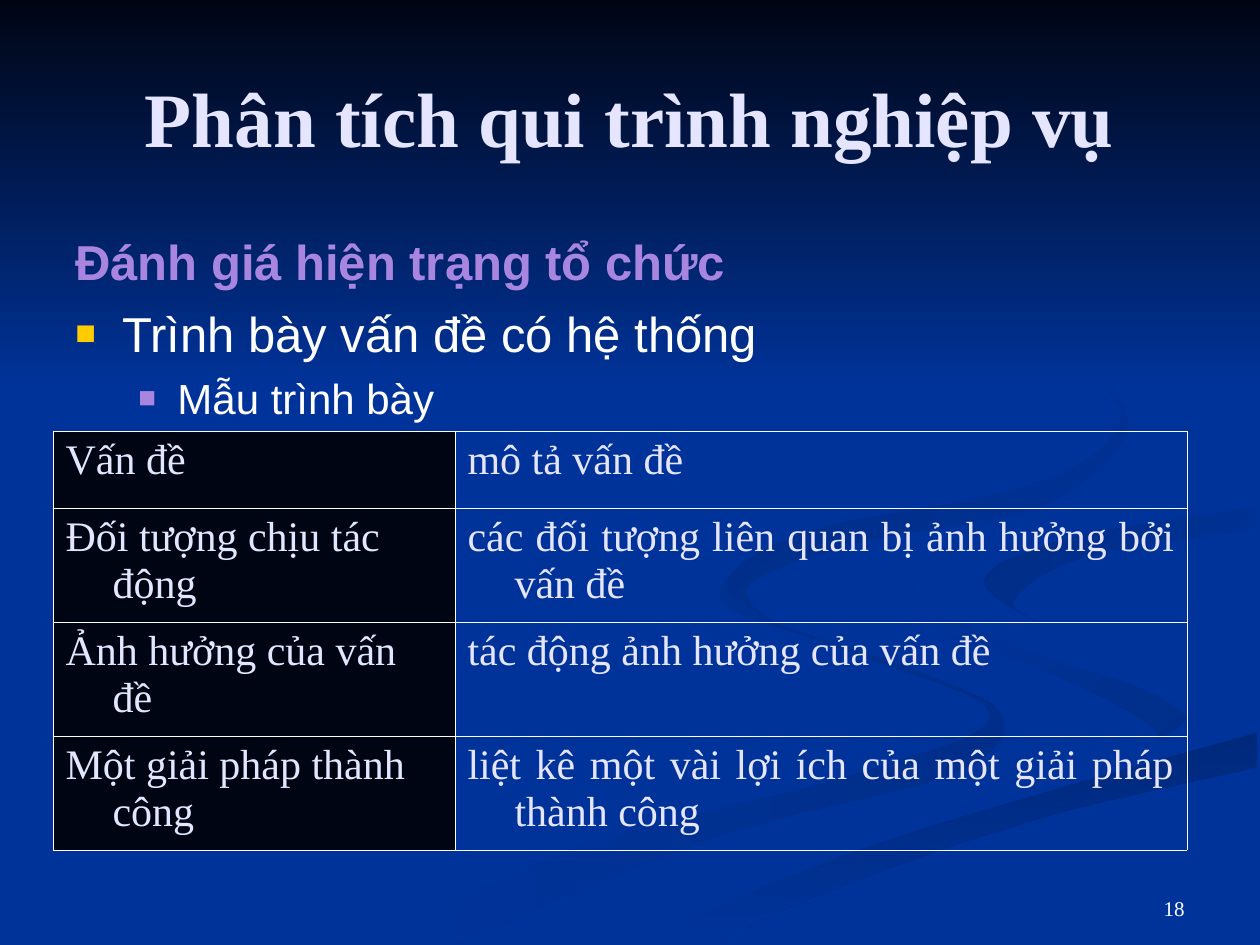
from pptx import Presentation
from pptx.dml.color import RGBColor
from pptx.enum.shapes import MSO_SHAPE
from pptx.enum.text import MSO_ANCHOR, PP_ALIGN
from pptx.oxml import parse_xml
from pptx.oxml.ns import nsdecls
from pptx.util import Pt

PX = 914400 / 126
COLORS = {"blue": "003399", "night": "000514", "pale": "E5E5FF", "violet": "A886E0",
          "gold": "FFCC00", "white": "FFFFFF", "dim": "002E8A", "deep": "00297C",
          "dusk": "002C85", "shade": "002B81"}
SERIF, SANS = "Times New Roman", "Arial"

# Text: words, font format, then paragraph format
TITLE = ("Phân tích qui trình nghiệp vụ",
         dict(name=SERIF, size=44, bold=True, color="pale"), dict(align="CENTER"))
BODY = [
    ("Đánh giá hiện trạng tổ chức",
     dict(name=SANS, size=28, bold=True, color="violet"), dict(left=47, hang=47)),
    ("Trình bày vấn đề có hệ thống",
     dict(name=SANS, size=28, color="white"),
     dict(left=47, hang=47, before=7, bullet="gold")),
    ("Mẫu trình bày",
     dict(name=SANS, size=24, color="white"),
     dict(left=102, hang=39, before=6, bullet="violet", level=1)),
]
NUMBER = ("18", dict(name=SERIF, size=12, color="white"), dict(align="RIGHT"))
ROWS = [
    ("Vấn đề", "mô tả vấn đề"),
    ("Đối tượng chịu tác động", "các đối tượng liên quan bị ảnh hưởng bởi vấn đề"),
    ("Ảnh hưởng của vấn đề", "tác động ảnh hưởng của vấn đề"),
    ("Một giải pháp thành công", "liệt kê một vài lợi ích của một giải pháp thành công"),
]
COLS, HEIGHTS = [402, 732], [77, 114, 114, 114]
CELL = dict(name=SERIF, size=24, color="pale")

# Background ribbons: start colour, end colour, clockwise angle, two curved edges
RIBBONS = [
    ("dim", "blue", 180,
     [(725, 578), (759, 617), (901, 665), (1002, 714), (953, 774), (711, 838), (455, 944)],
     [(378, 944), (577, 849), (881, 767), (990, 713), (856, 654), (732, 609), (725, 578)]),
    ("dim", "blue", 225,
     [(912, 585), (939, 617), (1071, 660), (1188, 718), (1126, 762)],
     [(1126, 762), (1157, 732), (1056, 675), (940, 630), (912, 585)]),
    ("deep", "blue", 90,
     [(634, 944), (794, 873), (1004, 804), (1257, 732)],
     [(1257, 767), (1034, 820), (818, 895), (719, 944)]),
    ("blue", None, 0,
     [(1259, 488), (1072, 518), (914, 585), (1023, 649), (1188, 718), (983, 799),
      (601, 944)],
     [(634, 944), (877, 843), (1259, 732)],
     [(1259, 678), (1068, 634), (985, 580), (1090, 534), (1259, 507)]),
    ("blue", "dusk", 225,
     [(1257, 507), (1070, 538), (984, 580), (1041, 625)],
     [(1041, 625), (1014, 600), (1082, 558), (1257, 529)]),
    ("blue", "shade", 225,
     [(960, 294), (1089, 367), (1126, 433), (1040, 507), (861, 542), (748, 586),
      (784, 630)],
     [(784, 630), (727, 582), (818, 529), (1030, 486), (1120, 422), (1066, 351),
      (960, 294)]),
]


def px(n):
    return round(n * PX)


def rgb(name):
    return RGBColor.from_string(COLORS[name])


def curve(edge, steps=6):
    """Points of a smooth line through the knots of an edge."""
    knots = [edge[0], *edge, edge[-1]]
    line = []
    for a, b, c, d in zip(knots, knots[1:], knots[2:], knots[3:]):
        for i in range(steps):
            t = i / steps
            line.append(tuple(
                q + t / 2 * (r - p + t * (2 * p - 5 * q + 4 * r - s
                                          + t * (3 * (q - r) + s - p)))
                for p, q, r, s in zip(a, b, c, d)))
    return line + [edge[-1]]


def paint(shape, start, end, angle):
    fill = shape.fill
    if end:
        fill.gradient()
        fill.gradient_angle = (360 - angle) % 360
        for stop, name in zip(fill.gradient_stops, (start, end)):
            stop.color.rgb = rgb(name)
    else:
        fill.solid()
        fill.fore_color.rgb = rgb(start)
    shape.line.fill.background()
    shape.shadow.inherit = False


def write(para, text, font, align="LEFT", left=0, hang=0, before=0, bullet=None, level=0):
    para.alignment = getattr(PP_ALIGN, align)
    para.level = level
    para.space_before = Pt(before)
    props = para._p.get_or_add_pPr()
    props.set("marL", str(px(left)))
    props.set("indent", str(-px(hang)))
    if bullet:
        for tag in (f'<a:buClr {nsdecls("a")}><a:srgbClr val="{COLORS[bullet]}"/></a:buClr>',
                    f'<a:buSzPct {nsdecls("a")} val="70000"/>',
                    f'<a:buFont {nsdecls("a")} typeface="{SANS}"/>',
                    f'<a:buChar {nsdecls("a")} char="■"/>'):
            props.append(parse_xml(tag))
    run = para.add_run()
    run.text = text
    values = {"bold": False, **font, "size": Pt(font["size"])}
    run.font.color.rgb = rgb(values.pop("color"))
    for key, value in values.items():
        setattr(run.font, key, value)


def add_text(slide, box, lines, anchor="TOP", top=6):
    frame = slide.shapes.add_textbox(*map(px, box)).text_frame
    values = dict(word_wrap=True, vertical_anchor=getattr(MSO_ANCHOR, anchor),
                  margin_top=px(top))
    for key, value in values.items():
        setattr(frame, key, value)
    for i, (text, font, form) in enumerate(lines):
        para = frame.add_paragraph() if i else frame.paragraphs[0]
        write(para, text, font, **form)


def add_grid(slide):
    table = slide.shapes.add_table(len(ROWS), len(COLS), px(53), px(431),
                                   px(sum(COLS)), px(sum(HEIGHTS))).table
    table.first_row = table.horz_banding = False
    for col, wide in zip(table.columns, COLS):
        col.width = px(wide)
    for r, (row, words) in enumerate(zip(table.rows, ROWS)):
        row.height = px(HEIGHTS[r])
        for c, text in enumerate(words):
            cell = table.cell(r, c)
            props = cell._tc.get_or_add_tcPr()
            for side in "LRTB":
                props.append(parse_xml(
                    f'<a:ln{side} {nsdecls("a")} w="5715"><a:solidFill>'
                    f'<a:srgbClr val="{COLORS["white"]}"/></a:solidFill></a:ln{side}>'))
            if c:
                cell.fill.background()
            else:
                cell.fill.solid()
                cell.fill.fore_color.rgb = rgb("night")
            write(cell.text_frame.paragraphs[0], text, CELL,
                  align="JUSTIFY" if c else "LEFT", left=47, hang=47)


def main():
    deck = Presentation()
    deck.slide_width, deck.slide_height = px(1260), px(945)
    slide = deck.slides.add_slide(deck.slide_layouts[6])
    back = slide.background.fill
    back.solid()
    back.fore_color.rgb = rgb("blue")

    # Ribbons and the dark band at the top
    for start, end, angle, *edges in RIBBONS:
        points = [point for edge in edges for point in curve(edge)]
        pen = slide.shapes.build_freeform(*points[0], scale=PX)
        pen.add_line_segments(points[1:], close=True)
        paint(pen.convert_to_shape(), start, end, angle)
    band = slide.shapes.add_shape(MSO_SHAPE.RECTANGLE, 0, 0, px(1260), px(388))
    paint(band, "night", "blue", 90)

    # Texts and table
    add_text(slide, (63, 38, 1134, 158), [TITLE], "MIDDLE")
    add_text(slide, (63, 220, 1113, 262), BODY, top=12)
    add_grid(slide)
    add_text(slide, (903, 861, 294, 66), [NUMBER], "BOTTOM")
    deck.save("out.pptx")


if __name__ == "__main__":
    main()
